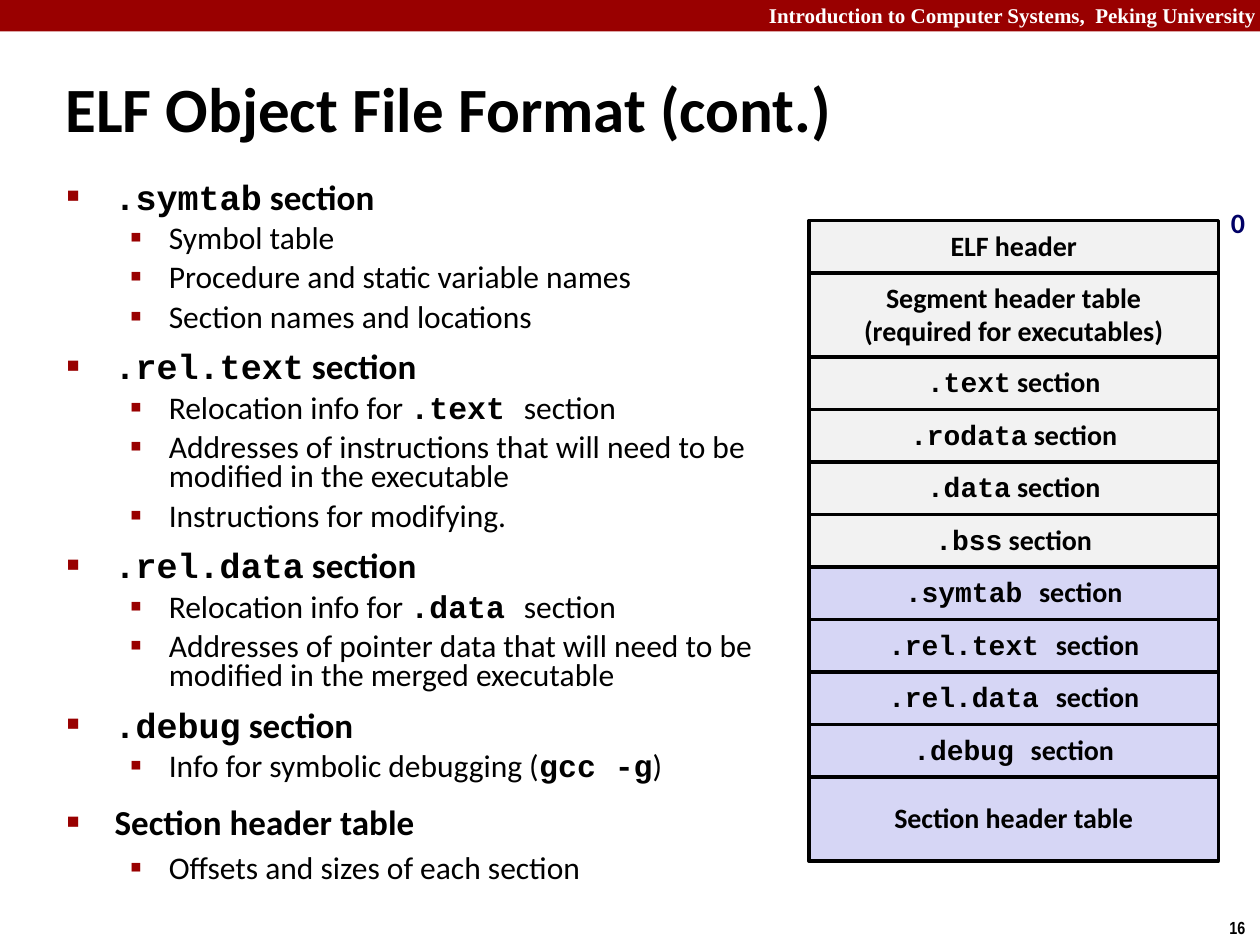
from lxml import etree
from pptx import Presentation
from pptx.dml.color import RGBColor
from pptx.enum.shapes import MSO_SHAPE
from pptx.enum.text import MSO_ANCHOR, MSO_AUTO_SIZE, PP_ALIGN
from pptx.oxml.ns import qn
from pptx.util import Inches, Pt

RECT = MSO_SHAPE.RECTANGLE
MIDDLE, TOP = MSO_ANCHOR.MIDDLE, MSO_ANCHOR.TOP
LEFT, CENTER, RIGHT = PP_ALIGN.LEFT, PP_ALIGN.CENTER, PP_ALIGN.RIGHT
NO_FIT = MSO_AUTO_SIZE.NONE

BLACK, WHITE, RED, NAVY = "000000", "FFFFFF", "990000", "000066"
GREY, LAVENDER = "F2F2F2", "D6D6F5"
SANS, CODE = "Calibri", "Courier New"


def rgb(color):
    return RGBColor.from_string(color)


class SlideBuilder:
    """Holds the style and the current slide; backticks in a text mark code."""

    # Per list level: size, bold, space before, left margin, hang, bullet, bullet %
    levels = [(20, True, 12.5, 0.38, 0.38, "■", 60),
              (18, False, 5.6, 0.81, 0.31, "▪", 110)]

    def __init__(self, slide):
        self.slide = slide

    def runs(self, paragraph, text, size, color=BLACK, bold=True, font=SANS):
        for i, piece in enumerate(text.split("`")):
            if not piece:
                continue
            is_code = i % 2 == 1
            run = paragraph.add_run()
            run.text = piece
            run.font.name = CODE if is_code else font
            run.font.size = Pt(size)
            run.font.bold = bold or is_code
            run.font.color.rgb = rgb(color)

    def place(self, shape, left, top, width, height):
        shape.left, shape.top = Inches(left), Inches(top)
        shape.width, shape.height = Inches(width), Inches(height)

    def title(self, text, *box):
        title = self.slide.shapes.title
        self.place(title, *box)
        frame = title.text_frame
        frame.auto_size, frame.vertical_anchor = NO_FIT, MIDDLE
        frame.paragraphs[0].alignment = LEFT
        self.runs(frame.paragraphs[0], text, 36)

    def bullet(self, paragraph, margin, hang, char, percent):
        props = paragraph._p.get_or_add_pPr()
        props.set("marL", str(Inches(margin)))
        props.set("indent", str(-Inches(hang)))
        color = etree.SubElement(props, qn("a:buClr"))
        etree.SubElement(color, qn("a:srgbClr"), val=RED)
        etree.SubElement(props, qn("a:buSzPct"), val=str(percent * 1000))
        etree.SubElement(props, qn("a:buChar"), char=char)

    def bullet_list(self, items, *box):
        body = self.slide.placeholders[1]
        self.place(body, *box)
        frame = body.text_frame
        frame.auto_size, frame.vertical_anchor = NO_FIT, TOP
        for i, (level, spacing, text) in enumerate(items):
            size, bold, before, *marker = self.levels[level]
            paragraph = frame.add_paragraph() if i else frame.paragraphs[0]
            paragraph.level = level
            self.bullet(paragraph, *marker)
            paragraph.line_spacing = spacing
            paragraph.space_before = Pt(before if i else 0)
            self.runs(paragraph, text, size, bold=bold)

    def rectangle(self, fill, left, top, width, height, outlined=True):
        shape = self.slide.shapes.add_shape(
            RECT, Inches(left), Inches(top), Inches(width), Inches(height))
        shape.shadow.inherit = False
        shape.fill.solid()
        shape.fill.fore_color.rgb = rgb(fill)
        if outlined:
            shape.line.color.rgb = rgb(BLACK)
            shape.line.width = Pt(2)
        else:
            shape.line.fill.background()
        return shape

    def block(self, text, fill, *box):
        frame = self.rectangle(fill, *box).text_frame
        frame.word_wrap, frame.vertical_anchor = False, MIDDLE
        for i, line in enumerate(text.split("\n")):
            paragraph = frame.add_paragraph() if i else frame.paragraphs[0]
            paragraph.alignment = CENTER
            paragraph.line_spacing = 0.94 if "`" in line else 0.98
            self.runs(paragraph, line, 16)

    def label(self, text, size, color, font, box, align=LEFT, wrap=False):
        label = self.slide.shapes.add_textbox(*map(Inches, box))
        label.text_frame.word_wrap = wrap
        paragraph = label.text_frame.paragraphs[0]
        paragraph.alignment = align
        self.runs(paragraph, text, size, color, font=font)


# Section name and its details
SECTIONS = [
    ("`.symtab` section", ["Symbol table", "Procedure and static variable names",
                           "Section names and locations"]),
    ("`.rel.text` section", ["Relocation info for `.text `section",
                             "Addresses of instructions that will need to be "
                             "modified in the executable",
                             "Instructions for modifying."]),
    ("`.rel.data` section", ["Relocation info for `.data `section",
                             "Addresses of pointer data that will need to be "
                             "modified in the merged executable"]),
    ("`.debug` section", ["Info for symbolic debugging (`gcc -g`)"]),
    ("Section header table", ["Offsets and sizes of each section"]),
]

# File layout from offset 0: text, fill, height
ROW, TALL_ROW = 5 / 12, 2 / 3
FILE_LAYOUT = [
    ("ELF header", GREY, ROW),
    ("Segment header table\n(required for executables)", GREY, TALL_ROW),
    *[(f"`{name}` section", GREY, ROW)
      for name in (".text", ".rodata", ".data", ".bss")],
    *[(f"`{name} `section", LAVENDER, ROW)
      for name in (".symtab", ".rel.text", ".rel.data", ".debug")],
    ("Section header table", LAVENDER, TALL_ROW),
]


def main():
    deck = Presentation()
    deck.slide_width, deck.slide_height = Inches(10), Inches(7.5)
    builder = SlideBuilder(deck.slides.add_slide(deck.slide_layouts[1]))

    # Course banner and page number
    builder.rectangle(RED, 0, 0, 10, 0.25, outlined=False)
    builder.label("Introduction to Computer Systems,  Peking University", 12, WHITE,
                  "Times New Roman", (6, -0.03, 4.07, 0.3), RIGHT, wrap=True)
    builder.label("16", 10, BLACK, "Arial Narrow", (9.66, 7.23, 0.34, 0.27))

    # Title and section list
    builder.title("ELF Object File Format (cont.)", 0.42, 0.42, 9.53, 0.86)
    items = []
    for heading, details in SECTIONS:
        has_code = "`" in heading
        items.append((0, 0.71 if has_code else 0.88, heading))
        items += [(1, 0.78 if has_code else 0.88, detail) for detail in details]
    builder.bullet_list(items, 0.43, 1.43, 5.77, 5.98)

    # Object file diagram
    top = 1.75
    for text, fill, height in FILE_LAYOUT:
        builder.block(text, fill, 6.42, top, 3.25, height)
        top += height
    builder.label("0", 16, NAVY, SANS, (9.67, 1.58, 0.31, 0.37))

    deck.save("out.pptx")


if __name__ == "__main__":
    main()
